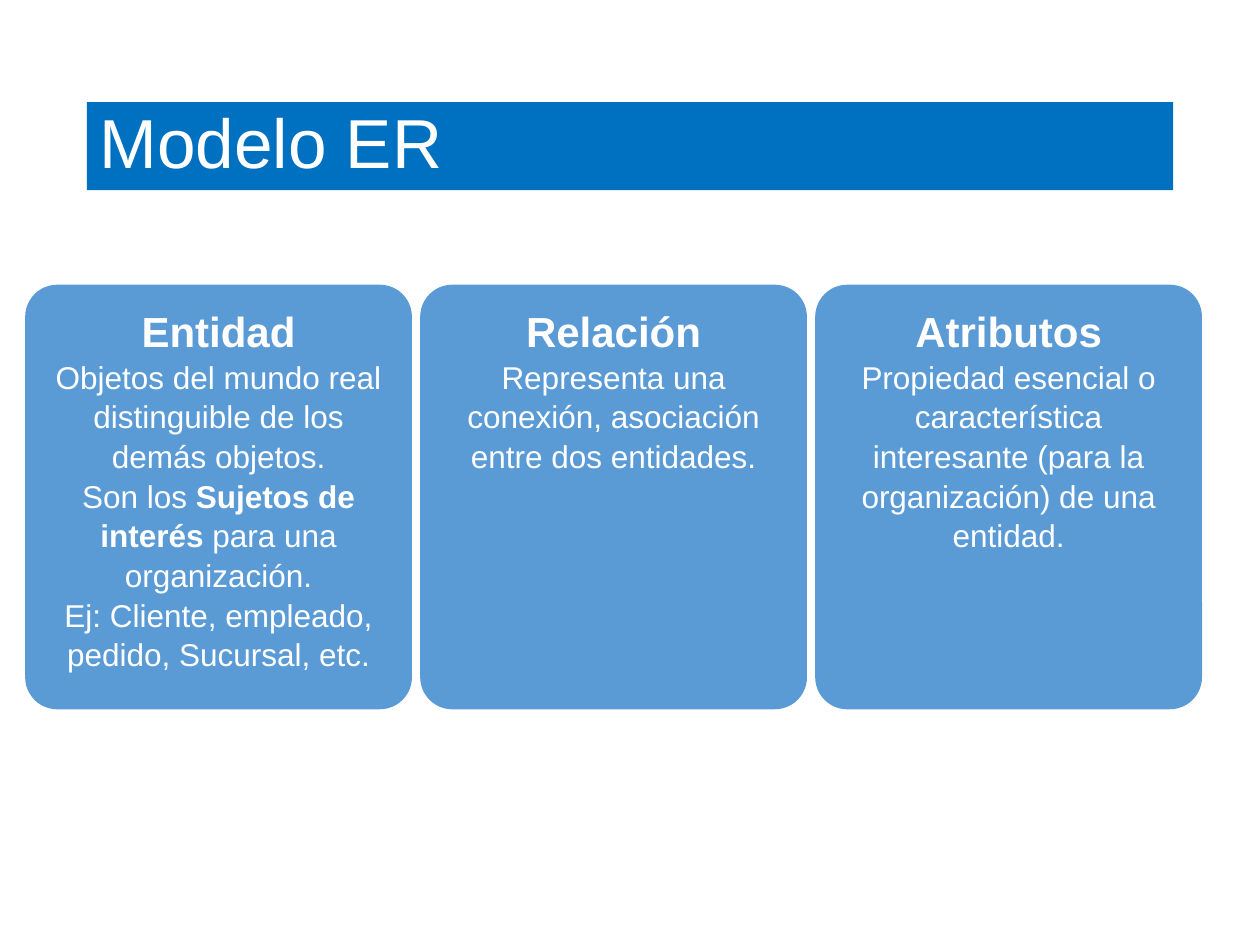
from pptx import Presentation
from pptx.dml.color import RGBColor
from pptx.enum.shapes import MSO_SHAPE
from pptx.enum.text import MSO_ANCHOR, PP_ALIGN
from pptx.util import Inches, Pt

ROUND = MSO_SHAPE.ROUNDED_RECTANGLE
TOP, MIDDLE = MSO_ANCHOR.TOP, MSO_ANCHOR.MIDDLE
LEFT, CENTER = PP_ALIGN.LEFT, PP_ALIGN.CENTER
WHITE = RGBColor(0xFF, 0xFF, 0xFF)
NAVY = RGBColor(0x00, 0x70, 0xC0)
BLUE = RGBColor(0x5B, 0x9B, 0xD5)


def write(para, text, size=18, bold=False, align=CENTER, space=1.05):
    """Add a run of text to a paragraph."""
    para.alignment = align
    para.line_spacing = space
    run = para.add_run()
    run.text = text
    run.font.name = "Arial"
    run.font.size = Pt(size)
    run.font.bold = bold
    run.font.color.rgb = WHITE


deck = Presentation()
deck.slide_width, deck.slide_height = Inches(10), Inches(7.5)
slide = deck.slides.add_slide(deck.slide_layouts[5])

# Title bar
title = slide.shapes.title
title.left, title.top = Inches(0.69), Inches(0.81)
title.width, title.height = Inches(8.62), Inches(0.7)
title.fill.solid()
title.fill.fore_color.rgb = NAVY
title.text_frame.vertical_anchor = MIDDLE
write(title.text_frame.paragraphs[0], "Modelo ER", size=39.6, align=LEFT, space=0.9)

# Each card: heading, then paragraphs made of (text, bold) runs
cards = [
    ("Entidad", [
        [("Objetos del mundo real distinguible de los demás objetos.", False)],
        [("Son los ", False), ("Sujetos de interés", True),
         (" para una organización.", False)],
        [("Ej: Cliente, empleado, pedido, Sucursal, etc.", False)],
    ]),
    ("Relación", [
        [("Representa una conexión, asociación entre dos entidades.", False)],
    ]),
    ("Atributos", [
        [("Propiedad esencial o característica interesante "
          "(para la organización) de una entidad.", False)],
    ]),
]

# Row of evenly spaced cards
first, last = 0.2, 6.47
step = (last - first) / (len(cards) - 1)
for col, (head, body) in enumerate(cards):
    card = slide.shapes.add_shape(ROUND, Inches(first + col * step), Inches(2.26),
                                  Inches(3.07), Inches(3.37))
    card.adjustments[0] = 0.083
    card.shadow.inherit = False
    card.fill.solid()
    card.fill.fore_color.rgb = BLUE
    card.line.fill.background()
    frame = card.text_frame
    frame.word_wrap = True
    frame.vertical_anchor = TOP
    frame.margin_top = Inches(0.07)
    write(frame.paragraphs[0], head, size=24, bold=True)
    for runs in body:
        para = frame.add_paragraph()
        for text, bold in runs:
            write(para, text, bold=bold)

deck.save("out.pptx")
